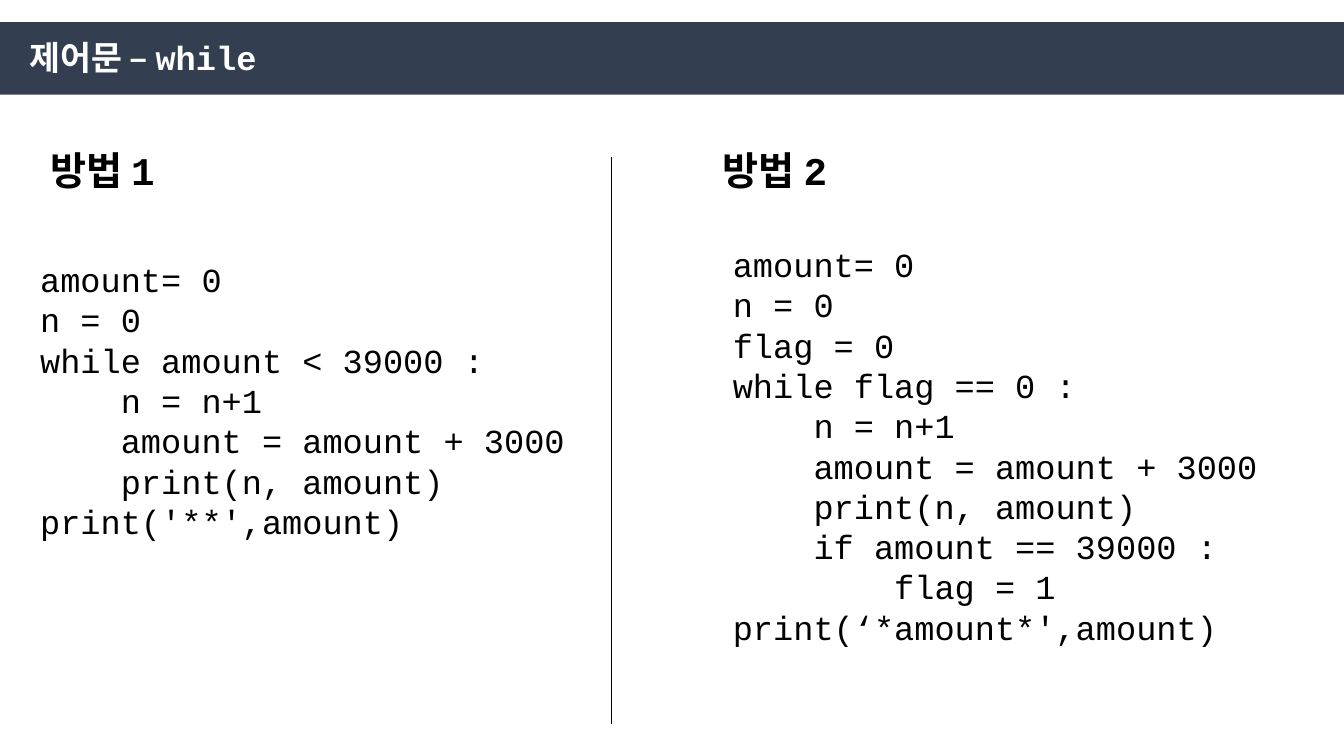
import pptx
import pptx.dml.color
import pptx.enum.shapes
import pptx.enum.text
import pptx.oxml
import pptx.oxml.ns
import pptx.util

Inches = pptx.util.Inches

FIRST_CODE = """amount= 0
n = 0
while amount < 39000 :
    n = n+1
    amount = amount + 3000
    print(n, amount)
print('**',amount)"""

SECOND_CODE = """amount= 0
n = 0
flag = 0
while flag == 0 :
    n = n+1
    amount = amount + 3000
    print(n, amount)
    if amount == 39000 :
        flag = 1
print(‘*amount*',amount)"""


def color(value):
    """Turn a hex string into a colour."""
    return pptx.dml.color.RGBColor.from_string(value)


def place(box, left, top, width, height):
    """Move and size a box, in inches."""
    box.left, box.top = Inches(left), Inches(top)
    box.width, box.height = Inches(width), Inches(height)


def write(box, text, size=24, bold=False, ink="000000"):
    """Fill a box with left-aligned lines, one paragraph each."""
    frame = box.text_frame
    frame.word_wrap = True
    frame.auto_size = pptx.enum.text.MSO_AUTO_SIZE.SHAPE_TO_FIT_TEXT
    frame.vertical_anchor = pptx.enum.text.MSO_ANCHOR.TOP
    for index, line in enumerate(text.split("\n")):
        para = frame.add_paragraph() if index else frame.paragraphs[0]
        para.alignment = pptx.enum.text.PP_ALIGN.LEFT
        span = para.add_run()
        span.text = line
        span.font.name = "Courier New"
        span.font.size = pptx.util.Pt(size)
        span.font.bold = bold
        span.font.color.rgb = color(ink)


def add_text(page, left, top, width, height, text, **style):
    """Add a text box with formatted text."""
    box = page.shapes.add_textbox(0, 0, 0, 0)
    place(box, left, top, width, height)
    write(box, text, **style)


def add_header(page, left, top, width, height, text):
    """Draw the dark band and set the title over it."""
    band = page.shapes.add_shape(
        pptx.enum.shapes.MSO_SHAPE.RECTANGLE,
        Inches(left), Inches(top), Inches(width), Inches(height))
    band.shadow.inherit = False
    band.fill.solid()
    band.fill.fore_color.rgb = color("333F50")
    band.line.fill.background()
    title = page.shapes.title
    page.shapes._spTree.append(title._element)
    place(title, left + 0.19, top + 0.1, 9.92, 0.91)
    write(title, text, bold=True, ink="FFFFFF")


def add_method(page, left, top, heading, code, code_left, code_top, code_height):
    """Place a heading and its code, offset from the heading."""
    add_text(page, left, top, 4.5, 0.57, heading, size=28, bold=True)
    add_text(page, left + code_left, top + code_top, 6.67, code_height, code)


def add_divider(page, left, top, height):
    """Draw the thin vertical line between the methods."""
    line = page.shapes.add_connector(
        pptx.enum.shapes.MSO_CONNECTOR.STRAIGHT,
        Inches(left), Inches(top), Inches(left), Inches(top + height))
    line.line.color.rgb = color("000000")
    line.line.width = pptx.util.Pt(0.5)
    properties = line._element.spPr
    properties.append(pptx.oxml.parse_xml(
        "<a:effectLst %s/>" % pptx.oxml.ns.nsdecls("a")))


def main():
    """Build the slide and save it."""
    deck = pptx.Presentation()
    deck.slide_width, deck.slide_height = Inches(13.33), Inches(7.5)
    page = deck.slides.add_slide(deck.slide_layouts.get_by_name("Title Only"))
    add_header(page, 0, 0.22, 13.33, 0.72, "제어문 – while")
    add_method(page, 0.4, 1.4, "방법 1", FIRST_CODE, -0.1, 1.12, 2.93)
    add_method(page, 7.07, 1.4, "방법 2", SECOND_CODE, 0.1, 0.97, 4.14)
    add_divider(page, 6.06, 1.56, 5.62)
    deck.save("out.pptx")


if __name__ == "__main__":
    main()
